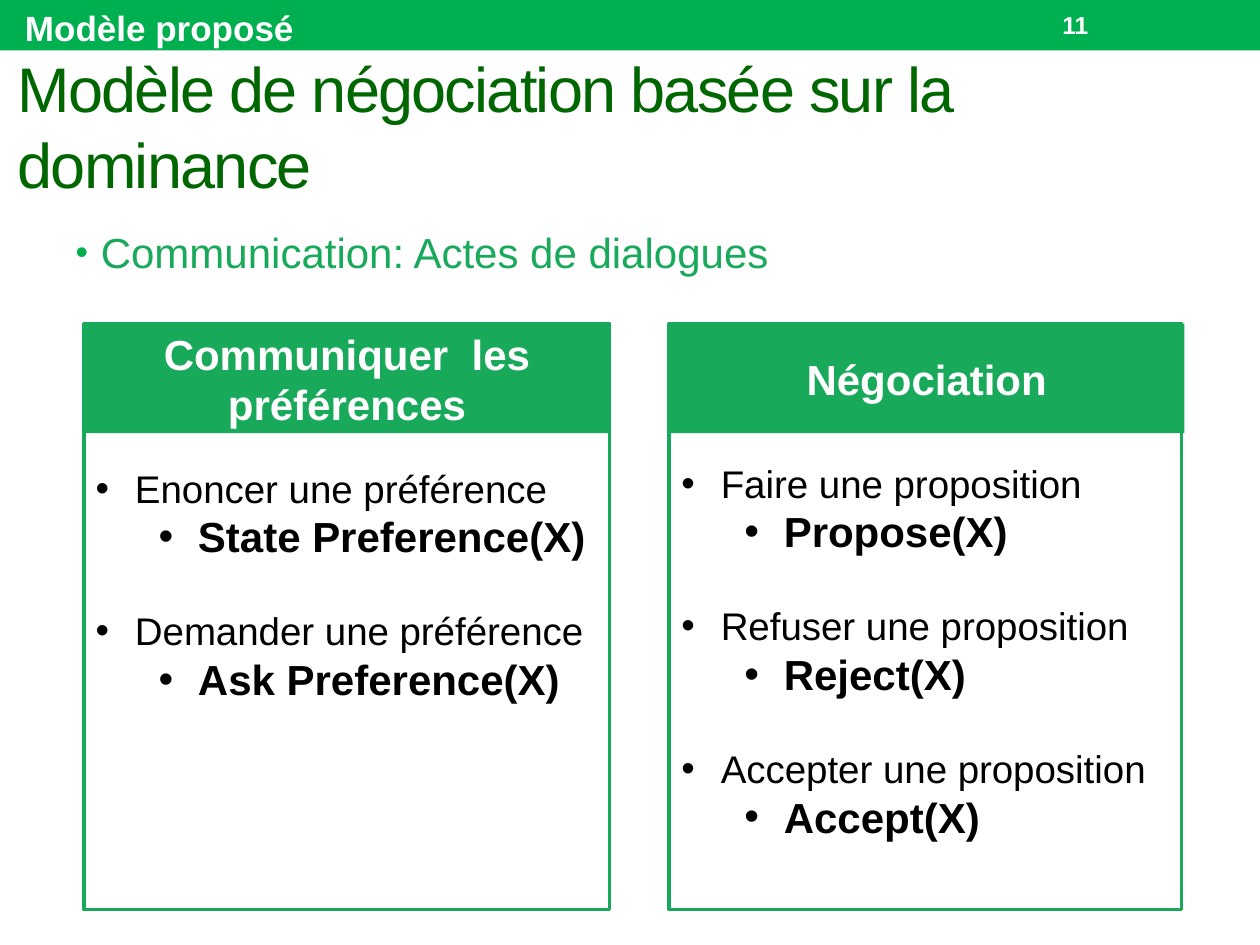
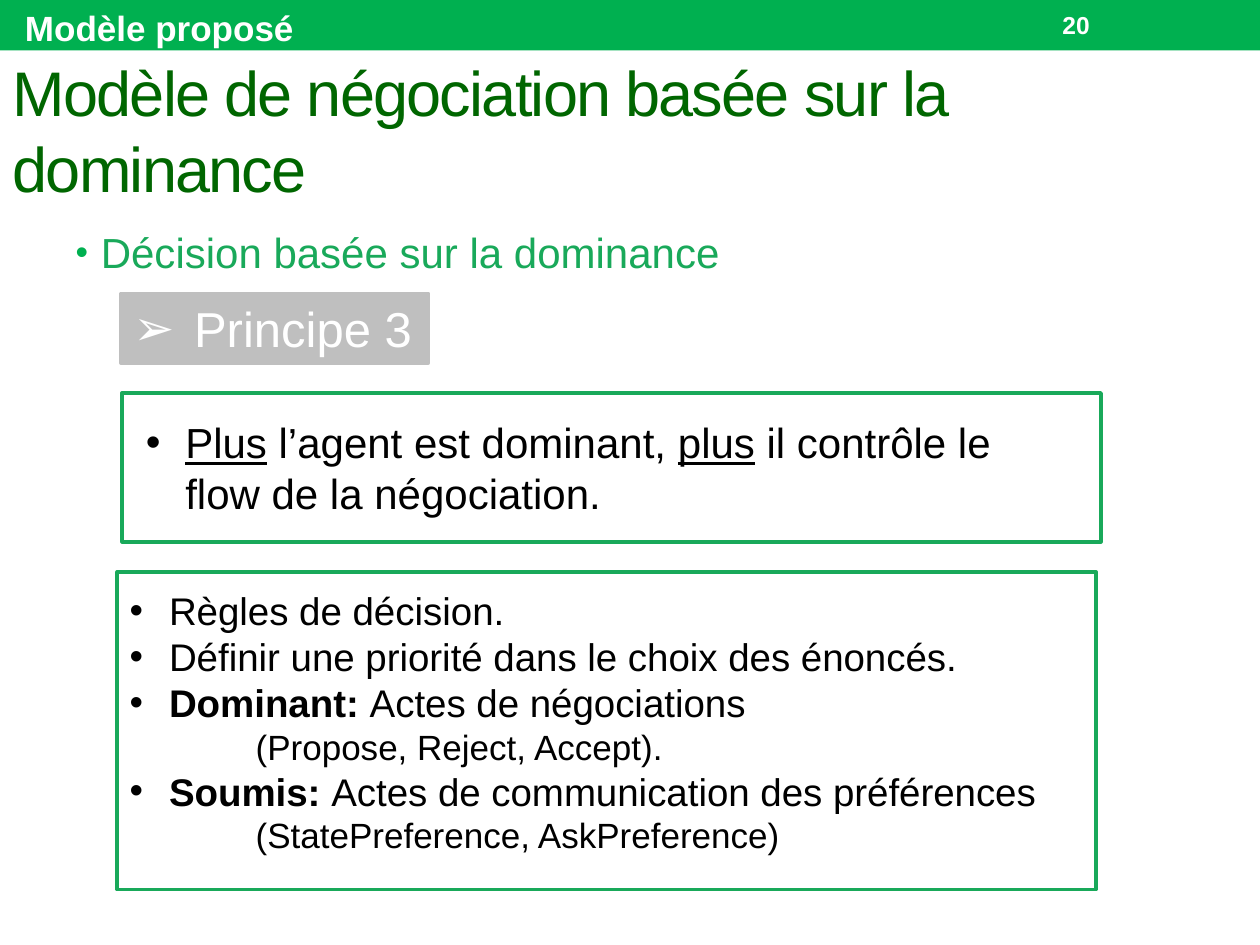
from lxml import etree
from pptx import Presentation
from pptx import util as u
from pptx.dml import color
from pptx.enum import shapes, text
from pptx.oxml import ns

COLORS = {"band": "00B050", "title": "006600", "accent": "19A95A",
          "grey": "BFBFBF", "black": "000000", "white": "FFFFFF"}
LEFT, CENTER = text.PP_ALIGN.LEFT, text.PP_ALIGN.CENTER
MIDDLE, TOP = text.MSO_ANCHOR.MIDDLE, text.MSO_ANCHOR.TOP
GROW, FIXED = text.MSO_AUTO_SIZE.SHAPE_TO_FIT_TEXT, text.MSO_AUTO_SIZE.NONE

STYLES = {
    "title": {"size": 36, "color": "title", "spacing": -1},
    "section": {"size": 20, "color": "white", "bold": True},
    "number": {"size": 14, "color": "white", "bold": True},
    "topic": {"size": 24, "color": "accent", "indent": (14.4, -14.4), "bullet": "•",
              "bullet_color": "band", "bullet_size": 85},
    "header": {"size": 24, "color": "white", "bold": True, "align": CENTER},
    "principle": {"size": 28, "color": "white", "indent": (27, -27), "bullet": "➢"},
    "statement": {"size": 24, "indent": (22.5, -22.5), "bullet": "•"},
    "item": {"size": 22, "indent": (22.5, -22.5), "bullet": "•"},
    "next_item": {"size": 22, "indent": (22.5, -22.5), "bullet": "•", "before": 26.3},
    "act": {"size": 24, "bold": True, "indent": (58.5, -22.5), "bullet": "•", "level": 1},
    "detail": {"size": 20, "indent": (72, 0), "level": 2},
}


class Deck:
    """Holds the shared style and the current slide, and draws each kind of element."""

    def __init__(self):
        self.presentation = Presentation()
        self.presentation.slide_width = u.Pt(720)
        self.presentation.slide_height = u.Pt(540)
        self.slide = None

    def rgb(self, name):
        return color.RGBColor.from_string(COLORS[name])

    def add_slide(self, number, topic, title_left, title_top, topic_height):
        self.slide = self.presentation.slides.add_slide(self.presentation.slide_layouts[1])
        self.box((0, 0, 720, 28.8), fill="band")
        title, body = self.slide.placeholders
        self.place(title, (title_left, title_top, 705.6, 90))
        self.fill_text(title, [("title", "Modèle de négociation basée sur la dominance")],
                       vertical_anchor=MIDDLE)
        self.place(body, (36, 126, 648, topic_height))
        self.fill_text(body, [("topic", topic)])
        self.label((600, 1.4, 84, 26), [("number", number)], vertical_anchor=MIDDLE)
        self.label((7.2, 0, 169, 31.5), [("section", "Modèle proposé")],
                   word_wrap=False, auto_size=GROW)

    def place(self, shape, area):
        for name, value in zip(("left", "top", "width", "height"), area):
            setattr(shape, name, u.Pt(value))

    def box(self, area, fill=None, line=None, lines=()):
        shape = self.slide.shapes.add_shape(shapes.MSO_SHAPE.RECTANGLE, *map(u.Pt, area))
        shape.shadow.inherit = False
        for paint, name in ((shape.fill, fill), (shape.line.fill, line)):
            if name:
                paint.solid()
                paint.fore_color.rgb = self.rgb(name)
            else:
                paint.background()
        if line:
            shape.line.width = u.Pt(2.08)
        if lines:
            self.fill_text(shape, lines, vertical_anchor=MIDDLE)

    def label(self, area, lines, **frame_format):
        shape = self.slide.shapes.add_textbox(*map(u.Pt, area))
        self.fill_text(shape, lines, **frame_format)

    def fill_text(self, shape, lines, **frame_format):
        frame = shape.text_frame
        defaults = {"word_wrap": True, "auto_size": FIXED, "vertical_anchor": TOP}
        for name, value in (defaults | frame_format).items():
            setattr(frame, name, value)
        for index, (style_name, content) in enumerate(lines):
            paragraph = frame.add_paragraph() if index else frame.paragraphs[0]
            style = STYLES[style_name]
            self.format_paragraph(paragraph, style)
            runs = [(content, {})] if isinstance(content, str) else content
            for words, changes in runs:
                self.add_run(paragraph, words, style, changes)

    def format_paragraph(self, paragraph, style):
        values = {"alignment": style.get("align", LEFT), "level": style.get("level", 0)}
        if "before" in style:
            values["space_before"] = u.Pt(style["before"])
        for name, value in values.items():
            setattr(paragraph, name, value)
        properties = paragraph._p.get_or_add_pPr()
        for name, value in zip(("marL", "indent"), style.get("indent", ())):
            properties.set(name, str(int(u.Pt(value))))
        if "bullet_color" in style:
            tint = etree.SubElement(properties, ns.qn("a:buClr"))
            etree.SubElement(tint, ns.qn("a:srgbClr"), val=COLORS[style["bullet_color"]])
            etree.SubElement(properties, ns.qn("a:buSzPct"),
                             val=str(style["bullet_size"] * 1000))
        if "bullet" in style:
            etree.SubElement(properties, ns.qn("a:buFont"), typeface="Arial")
            etree.SubElement(properties, ns.qn("a:buChar"), char=style["bullet"])

    def add_run(self, paragraph, words, style, changes):
        run = paragraph.add_run()
        run.text = words
        values = {"name": "Arial", "size": u.Pt(style["size"]),
                  "bold": style.get("bold", False)} | changes
        for name, value in values.items():
            setattr(run.font, name, value)
        run.font.color.rgb = self.rgb(style.get("color", "black"))
        if "spacing" in style:
            run._r.get_or_add_rPr().set("spc", str(style["spacing"] * 100))


def add_dialogue_acts(deck):
    deck.add_slide("11", "Communication: Actes de dialogues", 2.9, 26.6, 383.8)
    columns = [
        (48.2, 300.2, 300.2, "Communiquer  les préférences", (47.5, 262, 301.7, 198.7),
         [("Enoncer une préférence", "State Preference(X)"),
          ("Demander une préférence", "Ask Preference(X)")]),
        (382.3, 293, 294.5, "Négociation", (382.3, 259.2, 293, 227.5),
         [("Faire une proposition", "Propose(X)"),
          ("Refuser une proposition", "Reject(X)"),
          ("Accepter une proposition", "Accept(X)")]),
    ]
    for left, width, header_width, header, list_area, acts in columns:
        deck.box((left, 185, width, 334.8), line="accent")
        deck.box((left, 185, header_width, 62.6), fill="accent", lines=[("header", header)])
        lines = []
        for purpose, act in acts:
            lines += [("next_item" if lines else "item", purpose), ("act", act)]
        deck.label(list_area, lines, auto_size=GROW)


def add_principle(deck):
    deck.add_slide("20", "Décision basée sur la dominance", 0, 28.8, 41.8)
    underlined, bold = {"underline": True}, {"bold": True}
    deck.box((69.1, 167.8, 175.7, 39.6), fill="grey", line="grey",
             lines=[("principle", " Principe 3")])
    deck.box((69.8, 224.6, 559.4, 85), line="accent")
    deck.label((76.3, 234.7, 538.6, 65.5), [
        ("statement", [("Plus", underlined), (" l’agent est dominant, ", {}),
                       ("plus", underlined),
                       (" il contrôle le flow de la négociation.", {})]),
    ], auto_size=GROW)
    deck.box((67, 326.9, 559.4, 181.4), line="accent")
    deck.label((67, 331.9, 559.4, 162.7), [
        ("item", "Règles de décision."),
        ("item", "Définir une priorité dans le choix des énoncés."),
        ("item", [("Dominant: ", bold), ("Actes de négociations", {})]),
        ("detail", "(Propose, Reject, Accept)."),
        ("item", [("Soumis: ", bold), ("Actes de communication des préférences", {})]),
        ("detail", "(StatePreference, AskPreference)"),
    ], auto_size=GROW)


def main():
    deck = Deck()
    add_dialogue_acts(deck)
    add_principle(deck)
    deck.presentation.save("out.pptx")


if __name__ == "__main__":
    main()
